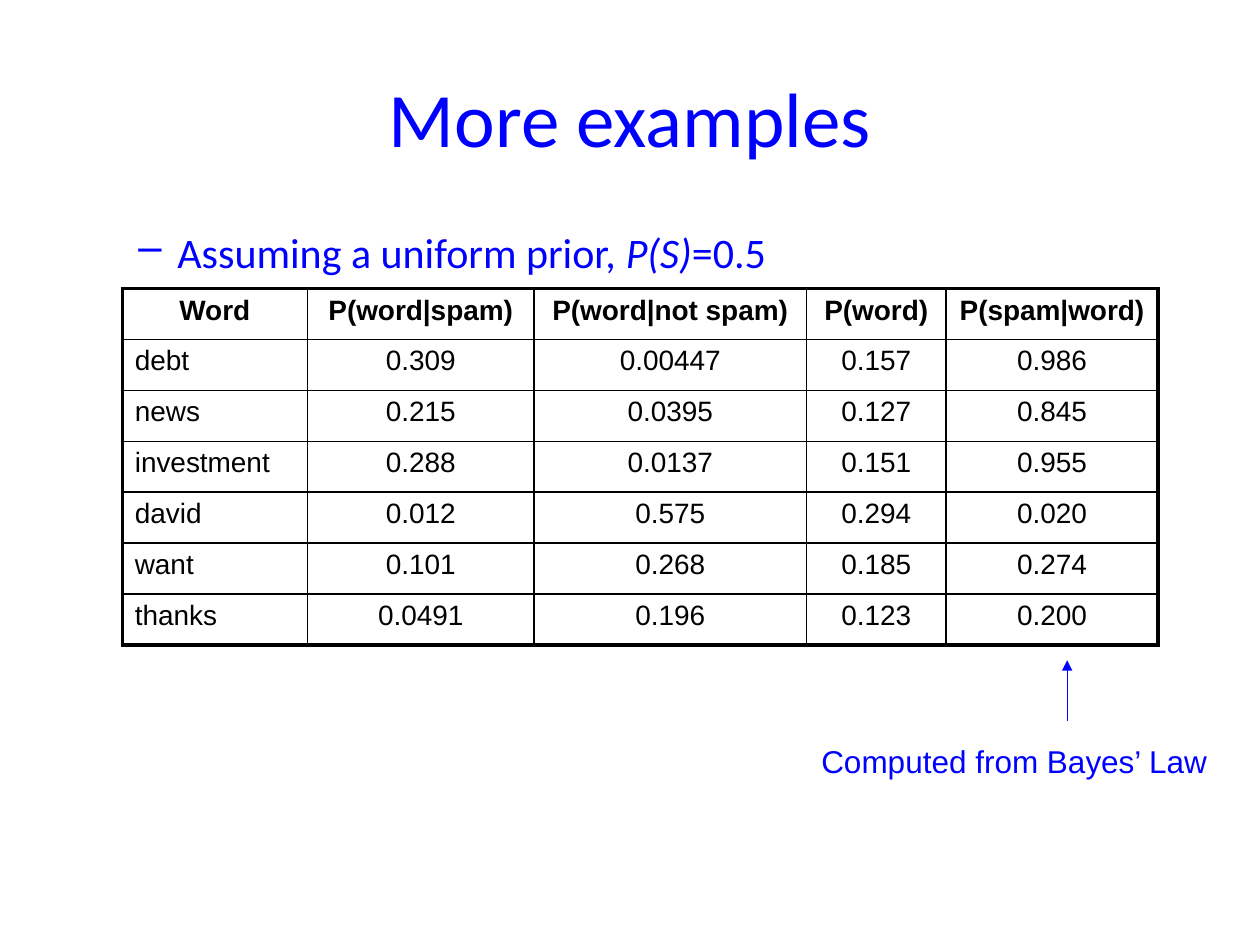
from dataclasses import dataclass

import pptx
import pptx.dml.color
import pptx.enum.shapes
import pptx.enum.text
import pptx.oxml
import pptx.oxml.ns
import pptx.util
from lxml import etree

BLUE = pptx.dml.color.RGBColor(0x00, 0x00, 0xFF)
BLACK = pptx.dml.color.RGBColor(0x00, 0x00, 0x00)
WIDTH = pptx.util.Inches(10)
HEIGHT = pptx.util.Inches(7.5)
OUTER, INNER = 2.25, 1
ALIGN = pptx.enum.text.PP_ALIGN


@dataclass(frozen=True)
class Box:
    """An area in shares of the slide's width and height."""
    left: float
    top: float
    width: float
    height: float

    def emu(self) -> tuple[int, ...]:
        return (round(self.left * WIDTH), round(self.top * HEIGHT),
                round(self.width * WIDTH), round(self.height * HEIGHT))


@dataclass(frozen=True)
class Column:
    heading: str
    share: float
    values: tuple[str, ...]
    align: ALIGN = ALIGN.CENTER


TITLE_BOX = Box(0.05, 0.04, 0.9, 1 / 6)
PRIOR_BOX = Box(0.05, 1.75 / 7.5, 0.9, 0.66)
TABLE_BOX = Box(0.097, 2.29 / 7.5, 0.822, 2.83 / 7.5)
CAPTION_BOX = Box(0.642, 5.84 / 7.5, 0.327, 0.4 / 7.5)
ARROW_BOX = Box(0.847, 5.24 / 7.5, 0, 0.48 / 7.5)

COLUMNS = (
    Column("Word", 0.147, ("debt", "news", "investment", "david", "want", "thanks"), ALIGN.LEFT),
    Column("P(word|spam)", 0.18, ("0.309", "0.215", "0.288", "0.012", "0.101", "0.0491")),
    Column("P(word|not spam)", 0.216, ("0.00447", "0.0395", "0.0137", "0.575", "0.268", "0.196")),
    Column("P(word)", 0.111, ("0.157", "0.127", "0.151", "0.294", "0.185", "0.123")),
    Column("P(spam|word)", 0.168, ("0.986", "0.845", "0.955", "0.020", "0.274", "0.200")),
)


def add_child(parent, tag: str, **attributes: str):
    return etree.SubElement(parent, pptx.oxml.ns.qn(tag), attributes)


def style(paragraph, font_name: str, size: float, color, bold: bool = False) -> None:
    font = paragraph.font
    font.name, font.size, font.bold = font_name, pptx.util.Pt(size), bold
    font.color.rgb = color


def set_relative_space_before(paragraph) -> None:
    """Space before of 20% of the text size; needs to precede other paragraph children."""
    properties = paragraph._p.get_or_add_pPr()
    space = etree.Element(pptx.oxml.ns.qn("a:spcBef"))
    add_child(space, "a:spcPct", val="20000")
    properties.insert(0, space)


def add_title(slide) -> None:
    title = slide.shapes.title
    title.left, title.top, title.width, title.height = TITLE_BOX.emu()
    title.text_frame.text = "More examples"
    title.text_frame.vertical_anchor = pptx.enum.text.MSO_ANCHOR.MIDDLE
    heading = title.text_frame.paragraphs[0]
    heading.alignment = ALIGN.CENTER
    style(heading, "Calibri", 44, BLUE)


def add_prior(slide) -> None:
    frame = slide.shapes.add_textbox(*PRIOR_BOX.emu()).text_frame
    frame.word_wrap = True
    prior = frame.paragraphs[0]
    for text, italic in (("Assuming a uniform prior, ", False), ("P(S)", True), ("=0.5", False)):
        run = prior.add_run()
        run.text, run.font.italic = text, italic
    prior.level = 1
    style(prior, "Calibri", 24, BLUE)
    set_relative_space_before(prior)
    properties = prior._p.get_or_add_pPr()
    properties.set("marL", str(pptx.util.Inches(0.81)))
    properties.set("indent", str(pptx.util.Inches(-0.31)))
    bullet = etree.Element(pptx.oxml.ns.qn("a:buChar"), char="–")
    properties.insert(1, bullet)


def add_borders(cell, widths: dict[str, float]) -> None:
    properties = cell._tc.get_or_add_tcPr()
    for side, width in widths.items():
        border = add_child(properties, f"a:ln{side}", w=str(pptx.util.Pt(width)))
        add_child(add_child(border, "a:solidFill"), "a:srgbClr", val=str(BLACK))


def add_word_table(slide) -> None:
    row_count = len(COLUMNS[0].values) + 1
    table = slide.shapes.add_table(row_count, len(COLUMNS), *TABLE_BOX.emu()).table
    table.horz_banding = False
    last_row, last_column = row_count - 1, len(COLUMNS) - 1
    for c, column in enumerate(COLUMNS):
        table.columns[c].width = round(column.share * WIDTH)
        for r, text in enumerate((column.heading, *column.values)):
            cell = table.cell(r, c)
            cell.text = text
            entry = cell.text_frame.paragraphs[0]
            is_heading = r == 0
            entry.alignment = ALIGN.CENTER if is_heading else column.align
            style(entry, "Arial", 16, BLACK, bold=is_heading)
            set_relative_space_before(entry)
            add_borders(cell, {
                "L": OUTER if c == 0 else INNER,
                "R": OUTER if c == last_column else INNER,
                "T": OUTER if is_heading else INNER,
                "B": OUTER if r == last_row else INNER,
            })
            cell.fill.background()


def add_caption(slide) -> None:
    frame = slide.shapes.add_textbox(*CAPTION_BOX.emu()).text_frame
    frame.word_wrap = False
    frame.auto_size = pptx.enum.text.MSO_AUTO_SIZE.SHAPE_TO_FIT_TEXT
    frame.text = "Computed from Bayes’ Law"
    style(frame.paragraphs[0], "Arial", 18, BLUE)


def add_up_arrow(slide) -> None:
    x, top, _, length = ARROW_BOX.emu()
    arrow = slide.shapes.add_connector(
        pptx.enum.shapes.MSO_CONNECTOR.STRAIGHT, x, top + length, x, top)
    arrow.line.color.rgb = BLUE
    arrow.line.width = pptx.util.Pt(0.75)
    add_child(arrow.line._get_or_add_ln(), "a:tailEnd", type="triangle")
    add_child(arrow._element.spPr, "a:effectLst")


def main() -> None:
    presentation = pptx.Presentation()
    presentation.slide_width, presentation.slide_height = WIDTH, HEIGHT
    slide = presentation.slides.add_slide(presentation.slide_layouts.get_by_name("Title Only"))
    add_title(slide)
    add_prior(slide)
    add_word_table(slide)
    add_caption(slide)
    add_up_arrow(slide)
    presentation.save("out.pptx")


if __name__ == "__main__":
    main()
